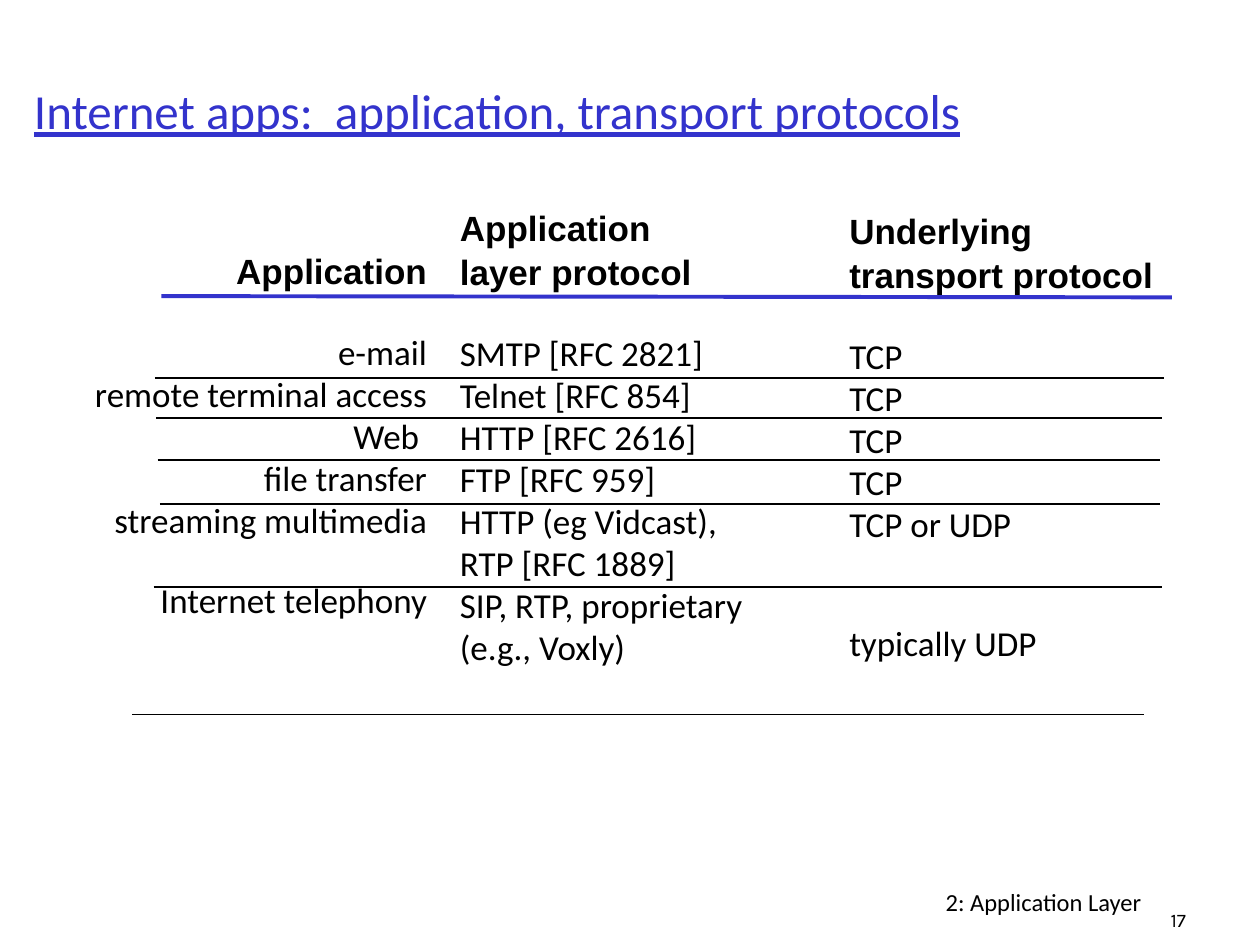
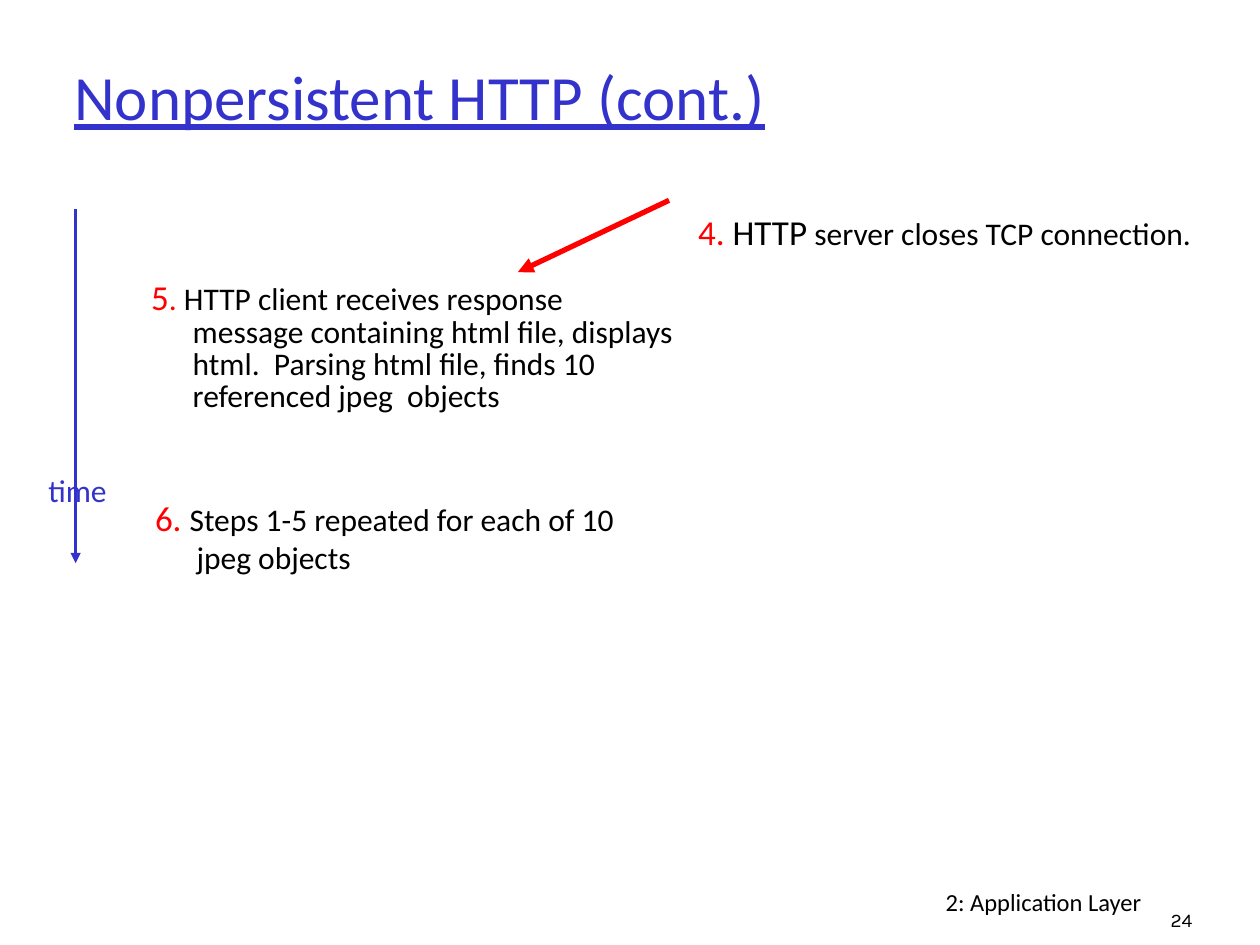
"""Two lecture slides on application-layer protocols and HTTP."""
from lxml import etree
from pptx import Presentation
from pptx.dml.color import RGBColor
from pptx.enum.shapes import MSO_CONNECTOR
from pptx.enum.text import MSO_ANCHOR, PP_ALIGN
from pptx.oxml.ns import qn
from pptx.util import Inches, Pt

LEFT, CENTER, RIGHT = PP_ALIGN.LEFT, PP_ALIGN.CENTER, PP_ALIGN.RIGHT
TOP, MIDDLE = MSO_ANCHOR.TOP, MSO_ANCHOR.MIDDLE
STRAIGHT = MSO_CONNECTOR.STRAIGHT

COLORS = {"text": "000000", "accent": "3333CC", "signal": "FF0000"}
BODY, HEADING, NUMBER = "Calibri", "Arial", "Karla"
COLUMNS, ROWS = 100, 75
INSET = 0.4
HANGING = 3.3
BLANK_LAYOUT = 6


class Deck:
    """Holds the shared style and the current slide, on a 100 by 75 grid."""

    def __init__(self):
        """Start a presentation of 10 by 7.5 inches."""
        self.presentation = Presentation()
        self.presentation.slide_width = Inches(10)
        self.presentation.slide_height = Inches(7.5)
        self.slide = None

    def x(self, columns):
        """Turn grid columns into a length."""
        return round(self.presentation.slide_width * columns / COLUMNS)

    def y(self, rows):
        """Turn grid rows into a length."""
        return round(self.presentation.slide_height * rows / ROWS)

    def start_slide(self, number, title, size, left, width, height):
        """Add a slide with its title, footer and number."""
        layout = self.presentation.slide_layouts[BLANK_LAYOUT]
        self.slide = self.presentation.slides.add_slide(layout)
        frame = self.text_box(left, 0, width, height, inset=0, anchor=MIDDLE)
        self.add_text(frame, [(title, size, "accent", {"underline": True})])
        frame = self.text_box(59.2, 70, 31.8, 3.1)
        self.add_text(frame, [("2: Application Layer", 14, "text")], alignment=RIGHT)
        frame = self.text_box(92.9, 72.1, 4, 1.8, inset=0)
        self.add_text(frame, [(str(number), 11, "text", {"name": NUMBER})])

    def text_box(self, left, top, width, height, inset=INSET, anchor=TOP):
        """Add an empty text box and return its text frame."""
        shape = self.slide.shapes.add_textbox(
            self.x(left), self.y(top), self.x(width), self.y(height))
        frame = shape.text_frame
        margins = {f"margin_{side}": self.x(inset)
                   for side in ("left", "top", "right", "bottom")}
        for name, value in {"word_wrap": True, "vertical_anchor": anchor, **margins}.items():
            setattr(frame, name, value)
        return frame

    def add_text(self, frame, runs, hanging=0, **formats):
        """Fill the next paragraph with runs of text, size, colour and font values."""
        paragraph = frame.paragraphs[0]
        if paragraph.runs:
            paragraph = frame.add_paragraph()
        for name, value in {"alignment": LEFT, **formats}.items():
            setattr(paragraph, name, value)
        if hanging:
            properties = paragraph._p.get_or_add_pPr()
            properties.set("marL", str(self.x(hanging)))
            properties.set("indent", str(-self.x(hanging)))
        for text, size, color, *extra in runs:
            run = paragraph.add_run()
            run.text = text
            values = {"name": BODY, "size": Pt(size)}
            for changes in extra:
                values.update(changes)
            for name, value in values.items():
                setattr(run.font, name, value)
            run.font.color.rgb = RGBColor.from_string(COLORS[color])

    def step(self, left, top, width, height, runs, inset=INSET, **formats):
        """Add a numbered step with a hanging indent."""
        frame = self.text_box(left, top, width, height, inset)
        self.add_text(frame, runs, HANGING, **formats)

    def column(self, left, top, width, height, headings, entries, alignment=LEFT):
        """Add a column of bold headings above entries of text and gap."""
        frame = self.text_box(left, top, width, height)
        for heading in headings:
            self.add_text(frame, [(heading, 20, "text", {"name": HEADING, "bold": True})],
                          alignment=alignment, space_before=Pt(1.3))
        for text, gap in entries:
            self.add_text(frame, [(text, 20, "text")],
                          alignment=alignment, space_before=Pt(gap))

    def line(self, start, end, color="text", width=1, arrow=False):
        """Draw a straight line, with an arrowhead at its end if asked."""
        connector = self.slide.shapes.add_connector(
            STRAIGHT, self.x(start[0]), self.y(start[1]), self.x(end[0]), self.y(end[1]))
        connector.line.color.rgb = RGBColor.from_string(COLORS[color])
        connector.line.width = Pt(width)
        properties = connector.element.spPr
        if arrow:
            outline = properties.find(qn("a:ln"))
            etree.SubElement(outline, qn("a:tailEnd"), type="triangle")
        etree.SubElement(properties, qn("a:effectLst"))


def add_protocols(deck):
    """Build the overview of applications and their protocols."""
    deck.start_slide(17, "Internet apps:  application, transport protocols",
                     28, 2.7, 95.7, 17.5)
    gap = 22
    deck.column(5, 19.4, 29.3, 30, ["Application"], [
        ("e-mail", gap), ("remote terminal access", 0), ("Web ", 0),
        ("file transfer", 0), ("streaming multimedia", 0),
        ("Internet telephony", gap)], RIGHT)
    deck.column(36.1, 16, 29, 36.9, ["Application", "layer protocol"], [
        ("SMTP [RFC 2821]", gap), ("Telnet [RFC 854]", 0), ("HTTP [RFC 2616]", 0),
        ("FTP [RFC 959]", 0), ("HTTP (eg Vidcast),", 0), ("RTP [RFC 1889]", 0),
        ("SIP, RTP, proprietary", 0), ("(e.g., Voxly)", 0)])
    deck.column(67, 16.2, 28.9, 36.1, ["Underlying", "transport protocol"], [
        ("TCP", gap), *[("TCP", 0)] * 3, ("TCP or UDP", 0),
        ("typically UDP", 2 * gap)])
    deck.line((12.8, 23.5), (93, 23.6), "accent", 2.25)
    row_rules = [(12.3, 92.4, 30), (12.4, 92.2, 33.2), (12.5, 92.1, 36.5),
                 (12.7, 92.1, 40), (12.2, 92.2, 46.6), (10.5, 90.8, 56.7)]
    for left, right, row in row_rules:
        deck.line((left, row), (right, row))


def add_nonpersistent_http(deck):
    """Build the last steps of a nonpersistent HTTP exchange."""
    deck.start_slide(24, "Nonpersistent HTTP (cont.)", 36, 5.9, 85, 15.1)
    deck.step(12, 22.4, 41.7, 35.5, [
        ("5", 20, "signal"), (".", 18, "signal"),
        (" HTTP client receives response message containing html file, "
         "displays html.  Parsing html file, finds 10 referenced jpeg  objects",
         18, "text")], inset=0, line_spacing=0.85)
    deck.step(11.9, 39, 41.8, 7.1, [
        ("6. ", 20, "signal"),
        ("Steps 1-5 repeated for each of 10 jpeg objects", 18, "text")],
        space_before=Pt(4))
    deck.step(55, 16.3, 41.8, 4.2, [
        ("4.", 20, "signal"), (" HTTP", 20, "text"),
        (" server closes TCP connection.", 18, "text")], space_before=Pt(4))
    deck.line((6, 16.6), (6, 44.7), "accent", 1.5, arrow=True)
    time_label = deck.text_box(2.4, 37, 7.5, 3.8)
    deck.add_text(time_label, [("time", 18, "accent")], alignment=CENTER)
    deck.line((53.1, 15.9), (41.1, 21.6), "signal", 3, arrow=True)


def main():
    """Build both slides and save them."""
    deck = Deck()
    add_protocols(deck)
    add_nonpersistent_http(deck)
    deck.presentation.save("out.pptx")


if __name__ == "__main__":
    main()
